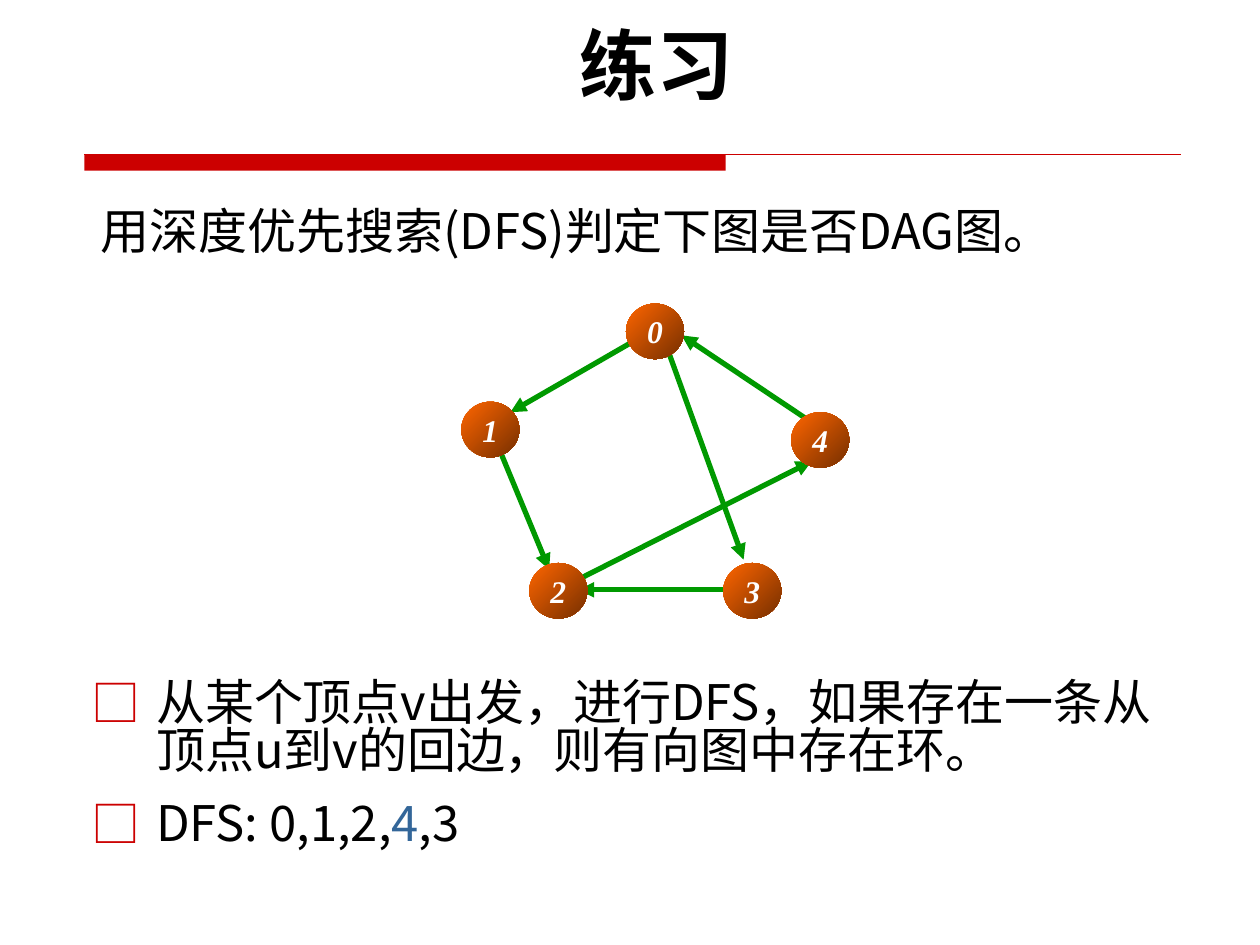
"""Builds a slide with a depth-first search exercise on a directed graph."""
from lxml.etree import SubElement
from pptx import Presentation
from pptx.dml.color import RGBColor
from pptx.enum.shapes import MSO_CONNECTOR, MSO_SHAPE
from pptx.enum.text import MSO_ANCHOR, PP_ALIGN
from pptx.oxml.ns import qn
from pptx.util import Cm, Pt

BODY_FONT = "Noto Sans CJK SC"
NODE_WIDTH, NODE_HEIGHT = 1.17, 1.12
NODES = {
    "1": (9.3, 8.1),
    "3": (14.58, 11.35),
    "2": (10.67, 11.35),
    "4": (15.95, 8.31),
    "0": (12.62, 6.12),
}
EDGES = [
    ((16.28, 8.46), (13.74, 6.76)),
    ((10.08, 9.09), (11.07, 11.48)),
    ((13.03, 6.73), (10.29, 8.31)),
    ((13.41, 6.91), (14.99, 11.28)),
    ((14.58, 11.89), (11.66, 11.89)),
    ((11.66, 11.68), (16.36, 9.3)),
]


def colour(value):
    """Turn a hex string into a colour."""
    return RGBColor.from_string(value)


def write(paragraph, text, font=BODY_FONT, size=28, hue="000000", bold=False, italic=False):
    """Add a formatted run of text to a paragraph."""
    run = paragraph.add_run()
    run.text = text
    run.font.name, run.font.size = font, Pt(size)
    run.font.bold, run.font.italic = bold, italic
    run.font.color.rgb = colour(hue)
    if font == BODY_FONT:
        SubElement(run.font._element, qn("a:ea"), typeface=font)


class SlideBuilder:
    """Holds the style and the current slide."""

    accent, edge, node_stops = "CC0000", "009900", ("FF6600", "762F00")

    def __init__(self, slide):
        """Keep the slide to draw on."""
        self.shapes = slide.shapes

    def text_box(self, left, top, width, height, anchor=MSO_ANCHOR.TOP):
        """Add a wrapping text box and return its text frame."""
        frame = self.shapes.add_textbox(Cm(left), Cm(top), Cm(width), Cm(height)).text_frame
        frame.word_wrap, frame.vertical_anchor = True, anchor
        return frame

    def line(self, start, end, hue, width, arrow=False):
        """Add a straight line, with an arrowhead at its end if wanted."""
        points = [Cm(length) for length in (*start, *end)]
        connector = self.shapes.add_connector(MSO_CONNECTOR.STRAIGHT, *points)
        connector.line.color.rgb = colour(hue)
        connector.line.width = Pt(width)
        if arrow:
            SubElement(connector.line._get_or_add_ln(), qn("a:tailEnd"), type="triangle")
        SubElement(connector._element.spPr, qn("a:effectLst"))

    def shape(self, kind, left, top, width, height):
        """Add a preset shape without outline or shadow."""
        shape = self.shapes.add_shape(kind, Cm(left), Cm(top), Cm(width), Cm(height))
        shape.shadow.inherit = False
        shape.line.fill.background()
        return shape

    def bar(self, left, top, width, height):
        """Add a solid accent bar."""
        fill = self.shape(MSO_SHAPE.RECTANGLE, left, top, width, height).fill
        fill.solid()
        fill.fore_color.rgb = colour(self.accent)

    def node(self, label, left, top):
        """Add a labelled graph node with a diagonal gradient."""
        shape = self.shape(MSO_SHAPE.OVAL, left, top, NODE_WIDTH, NODE_HEIGHT)
        shape.fill.gradient()
        shape.fill.gradient_angle = 315
        for position, (stop, hue) in enumerate(zip(shape.fill.gradient_stops, self.node_stops)):
            stop.position, stop.color.rgb = position, colour(hue)
        frame = shape.text_frame
        frame.word_wrap, frame.vertical_anchor = False, MSO_ANCHOR.MIDDLE
        frame.margin_left = frame.margin_right = 0
        paragraph = frame.paragraphs[0]
        paragraph.alignment = PP_ALIGN.CENTER
        write(paragraph, label, "Times New Roman", 18, "FFFFFF", bold=True, italic=True)

    def bullet(self, paragraph, runs):
        """Fill a paragraph with a square bullet and coloured runs."""
        paragraph.line_spacing = 0.82
        properties = paragraph._p.get_or_add_pPr()
        properties.set("marL", str(Cm(1.3)))
        properties.set("indent", str(-Cm(1.3)))
        bullet_colour = SubElement(properties, qn("a:buClr"))
        SubElement(bullet_colour, qn("a:srgbClr"), val=self.accent)
        SubElement(properties, qn("a:buFont"), typeface=BODY_FONT)
        SubElement(properties, qn("a:buChar"), char="□")
        for text, hue in runs:
            write(paragraph, text, hue=hue)


def main():
    """Build and save the slide."""
    presentation = Presentation()
    presentation.slide_width, presentation.slide_height = Cm(25.4), Cm(19.05)
    builder = SlideBuilder(presentation.slides.add_slide(presentation.slide_layouts[6]))

    builder.bar(1.7, 3.12, 12.93, 0.32)
    builder.line((1.7, 3.12), (23.8, 3.12), builder.accent, 0.75)

    body = builder.text_box(1.6, 13.49, 22.02, 5)
    body.margin_top = Cm(0.25)
    builder.bullet(body.paragraphs[0], [
        ("从某个顶点v出发，进行DFS，如果存在一条从顶点u到v的回边，则有向图中存在环。", "000000"),
    ])
    answer = body.add_paragraph()
    answer.space_before = Pt(14)
    builder.bullet(answer, [("DFS: 0,1,2,", "000000"), ("4", "336699"), (",3", "000000")])

    for start, end in EDGES:
        builder.line(start, end, builder.edge, 3, arrow=True)
    for label, (left, top) in NODES.items():
        builder.node(label, left, top)

    question = builder.text_box(1.78, 3.58, 22.81, 1.78, MSO_ANCHOR.BOTTOM).paragraphs[0]
    question.line_spacing = 1.5
    write(question, "用深度优先搜索(DFS)判定下图是否DAG图。")

    title = builder.text_box(1.7, 0.43, 23.06, 2.11).paragraphs[0]
    title.alignment, title.line_spacing = PP_ALIGN.CENTER, 0.9
    write(title, "练习", "Cabin", 44, bold=True)

    presentation.save("out.pptx")


if __name__ == "__main__":
    main()
